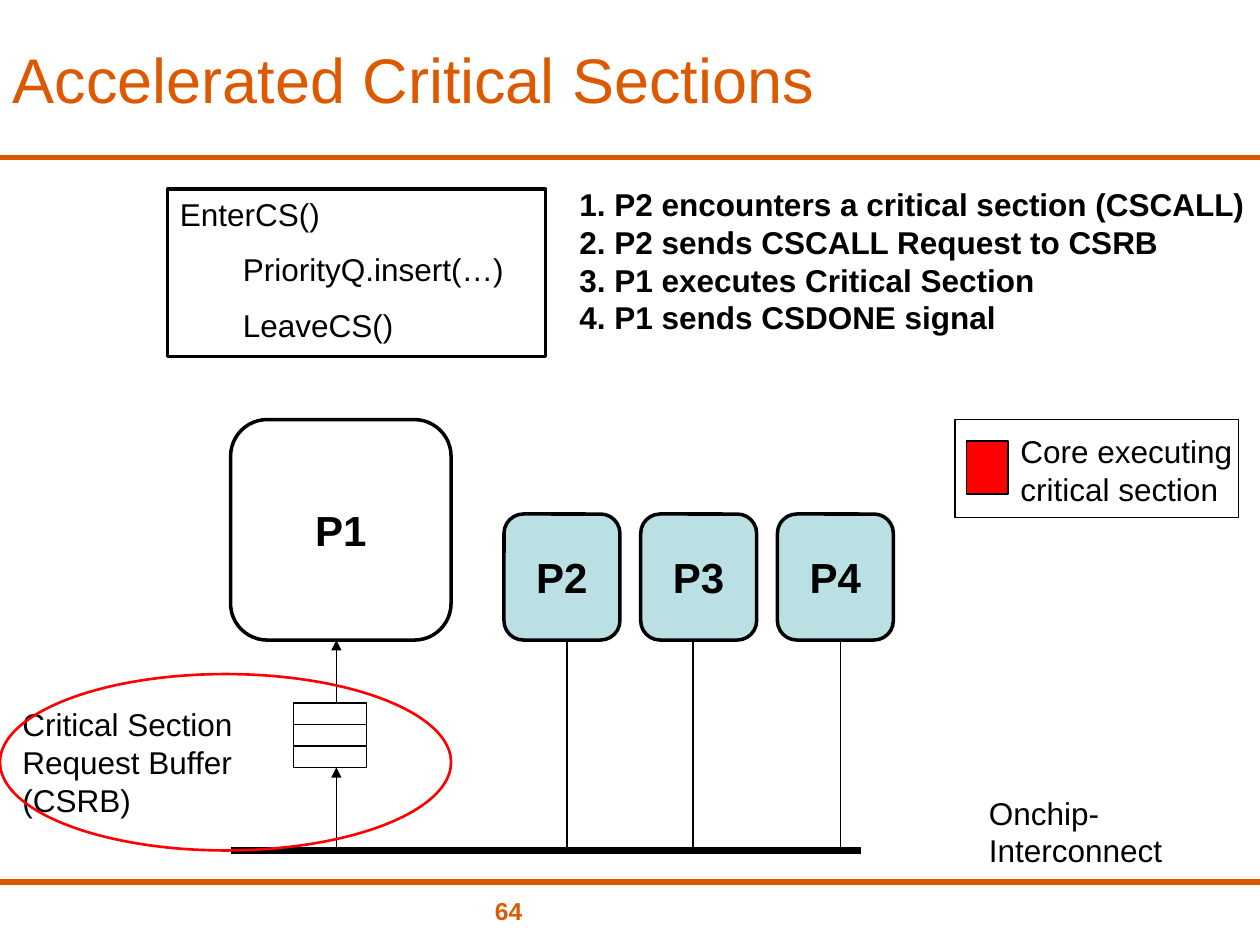
from lxml import etree
from pptx import Presentation, util as u
from pptx.dml.color import RGBColor
from pptx.enum import shapes, text
from pptx.oxml.ns import qn

ORANGE = RGBColor(0xDC, 0x59, 0x00)
BLACK = RGBColor(0, 0, 0)
WHITE = RGBColor(0xFF, 0xFF, 0xFF)
TEAL = RGBColor(0xBB, 0xE0, 0xE3)
RED = RGBColor(0xFF, 0, 0)
KIND = shapes.MSO_SHAPE
W, H = 10, 7.5

# Content
TITLE = "Accelerated Critical Sections"
PAGE = "64"
CODE = [("EnterCS()", 0), ("PriorityQ.insert(…)", 1), ("LeaveCS()", 1)]
STEPS = ["1. P2 encounters a critical section (CSCALL)",
         "2. P2 sends CSCALL Request to CSRB",
         "3. P1 executes Critical Section",
         "4. P1 sends CSDONE signal"]
CORES = ["P2", "P3", "P4"]
LABELS = [("Onchip-Interconnect", (7.75, 6.25, 2.25, 0.7)),
          ("Critical Section\vRequest Buffer (CSRB)", (0.08, 5.55, 2.08, 1)),
          ("Core executing critical section", (8, 3.38, 2, 0.7))]

# Grid of the diagram
BUS, BASE = 6.75, 5.08          # interconnect and bottom of the cores
LEFT, BIG = 1.83, 1.75          # large core
FIRST, STEP, CORE = 4, 1.085, (0.92, 1)
SLOT, SLOTS = (2.33, 5.58, 0.58, 0.17), 3
WIRES = [4.5, 5.5, 6.67]
FEED = 2.67

prs = Presentation()
prs.slide_width, prs.slide_height = u.Inches(W), u.Inches(H)
slide = prs.slides.add_slide(prs.slide_layouts[5])


def inch(box):
    return [u.Inches(v) for v in box]


def style(par, size, color=BLACK, bold=False, align=text.PP_ALIGN.LEFT):
    par.font.name, par.font.size = "Arial", u.Pt(size)
    par.font.color.rgb, par.font.bold = color, bold
    par.alignment = align


def write(frame, lines, size=18, wrap=True, anchor=text.MSO_ANCHOR.TOP, **look):
    frame.word_wrap, frame.vertical_anchor = wrap, anchor
    frame.auto_size = text.MSO_AUTO_SIZE.NONE
    for i, line in enumerate(lines):
        par = frame.add_paragraph() if i else frame.paragraphs[0]
        par.text = line
        style(par, size, **look)
    return frame.paragraphs


def label(box, lines, **look):
    return write(slide.shapes.add_textbox(*inch(box)).text_frame, lines, **look)


def shape(kind, box, fill=None, line=BLACK, width=0.75):
    item = slide.shapes.add_shape(kind, *inch(box))
    item.shadow.inherit = False
    if fill is None:
        item.fill.background()
    else:
        item.fill.solid()
        item.fill.fore_color.rgb = fill
    item.line.color.rgb, item.line.width = line, u.Pt(width)
    return item


def wire(x1, y1, x2, y2, color=BLACK, width=0.75, arrow=False):
    item = slide.shapes.add_connector(shapes.MSO_CONNECTOR.STRAIGHT,
                                      *inch((x1, y1, x2, y2)))
    item.line.color.rgb, item.line.width = color, u.Pt(width)
    if arrow:
        etree.SubElement(item.line._get_or_add_ln(), qn("a:tailEnd"),
                         type="triangle")
    etree.SubElement(item._element.spPr, qn("a:effectLst"))


def core(name, box, fill):
    item = shape(KIND.ROUNDED_RECTANGLE, box, fill, width=2)
    write(item.text_frame, [name], 24, anchor=text.MSO_ANCHOR.MIDDLE,
          bold=True, align=text.PP_ALIGN.CENTER)


# Title, rules and page number
head = slide.shapes.title
head.left, head.top, head.width, head.height = inch((0, 0, W, 1.25))
write(head.text_frame, [TITLE], 36, anchor=text.MSO_ANCHOR.MIDDLE, color=ORANGE)
for y in (1.25, 7):
    wire(0, y, W, y, ORANGE, 3)
label((3.83, 7.06, 2.33, 0.35), [PAGE], size=14, color=ORANGE, bold=True)

# Code and steps
box = shape(KIND.RECTANGLE, (1.33, 1.5, 3, 1.33), width=2)
pars = write(box.text_frame, [line for line, _ in CODE])
for par, (_, level) in zip(pars, CODE):
    if level:
        par.level, par.space_before = level, u.Pt(10)
        par._p.get_or_add_pPr().set("marL", str(u.Inches(0.5 * level)))
        par._p.get_or_add_pPr().set("indent", "0")
label((4.5, 1.42, 5.48, 1.3), STEPS, wrap=False, bold=True)

# Interconnect and wires
wire(LEFT, BUS, LEFT + W / 2, BUS, width=4)
for x in WIRES:
    wire(x, BASE, x, BUS)

# Request buffer with its arrows
x, top, wide, high = SLOT
for i in range(SLOTS):
    shape(KIND.RECTANGLE, (x, top + i * high, wide, high), WHITE)
wire(FEED, BUS, FEED, top + SLOTS * high, arrow=True)
wire(FEED, top, FEED, BASE, arrow=True)

# Legend
shape(KIND.RECTANGLE, (7.67, 3.5, 0.33, 0.42), RED)
shape(KIND.RECTANGLE, (7.58, 3.33, 2.25, 0.78))
for words, place in LABELS:
    label(place, [words])

# Cores
for i, name in enumerate(CORES):
    core(name, (FIRST + i * STEP, BASE - CORE[1], *CORE), TEAL)
core("P1", (LEFT, BASE - BIG, BIG, BIG), WHITE)

# Highlight around the buffer
shape(KIND.OVAL, (0, BUS - 1.4, LEFT + BIG, 1.4), line=RED, width=1.5)

prs.save("out.pptx")
